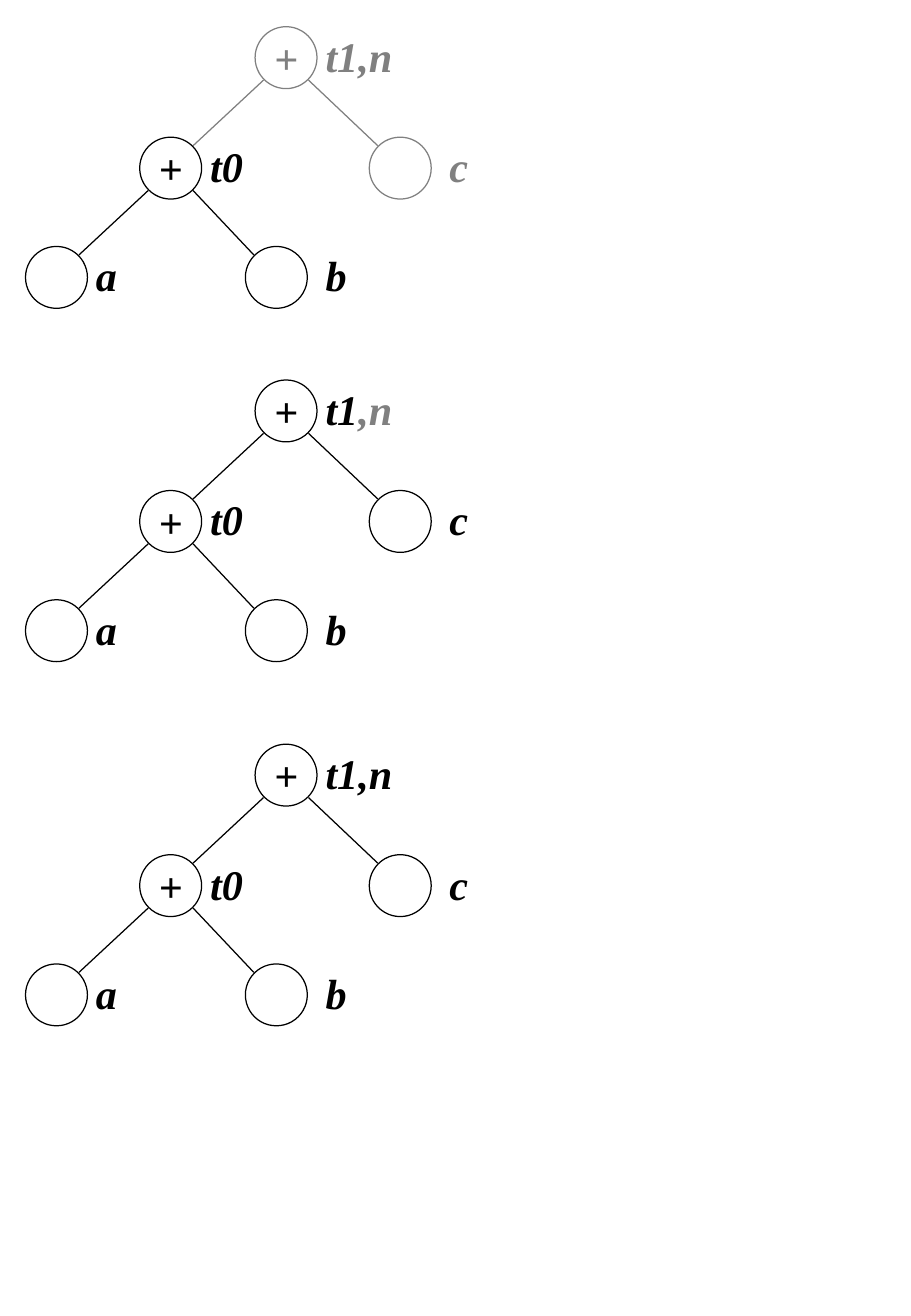
from dataclasses import dataclass

from lxml import etree
from pptx import Presentation
from pptx.dml.color import RGBColor
from pptx.enum.shapes import MSO_CONNECTOR, MSO_SHAPE
from pptx.enum.text import MSO_ANCHOR, PP_ALIGN
from pptx.oxml.ns import qn
from pptx.shapes.connector import Connector
from pptx.shapes.autoshape import Shape
from pptx.slide import Slide
from pptx.text.text import TextFrame, _Paragraph
from pptx.util import Emu, Pt

ELLIPSE = MSO_SHAPE.OVAL
STRAIGHT = MSO_CONNECTOR.STRAIGHT
MIDDLE = MSO_ANCHOR.MIDDLE
CENTER = PP_ALIGN.CENTER
LEFT = PP_ALIGN.LEFT

EMU_PER_PX = 9144
SLIDE_WIDTH, SLIDE_HEIGHT = 750, 1084
DIAMETER = 51
RIM_INSET = 7
LABEL_HEIGHT = 47
COLORS = {"done": "000000", "pending": "808080"}
FONT = "Times New Roman"
FONT_SIZE = Pt(25)
LINE_WIDTH = Pt(0.75)


@dataclass(frozen=True)
class Node:
    left: int
    top: int
    symbol: str
    label_offset: int
    label_width: int


@dataclass(frozen=True)
class Tree:
    top: int
    root_label: tuple[tuple[str, str], ...]
    upper_state: str


NODES = {
    "root": Node(210, 0, "+", 47, 98),
    "t0": Node(115, 91, "+", 47, 98),
    "c": Node(304, 91, "", 55, 55),
    "a": Node(21, 181, "", 47, 55),
    "b": Node(202, 181, "", 55, 55),
}
EDGES = [("root", "t0"), ("root", "c"), ("t0", "a"), ("t0", "b")]
UPPER_NODES = {"root", "c"}
TREES = [
    Tree(22, (("t1,n", "pending"),), "pending"),
    Tree(313, (("t1", "done"), (",n", "pending")), "done"),
    Tree(613, (("t1,n", "done"),), "done"),
]


def px(length: int) -> Emu:
    return Emu(length * EMU_PER_PX)


def color(state: str) -> RGBColor:
    return RGBColor.from_string(COLORS[state])


def style_line(shape: Shape | Connector, state: str) -> None:
    shape.line.color.rgb = color(state)
    shape.line.width = LINE_WIDTH


def format_text(frame: TextFrame, alignment: PP_ALIGN, side_inset: int) -> _Paragraph:
    frame.vertical_anchor = MIDDLE
    frame.margin_left = frame.margin_right = px(side_inset)
    frame.margin_top = frame.margin_bottom = px(5)
    paragraph = frame.paragraphs[0]
    paragraph.alignment = alignment
    paragraph.font.name = FONT
    paragraph.font.size = FONT_SIZE
    paragraph.font.bold = True
    paragraph.font.italic = True
    return paragraph


def add_runs(paragraph: _Paragraph, runs: tuple[tuple[str, str], ...]) -> None:
    for text, state in runs:
        run = paragraph.add_run()
        run.text = text
        run.font.color.rgb = color(state)


def add_edge(slide: Slide, tree_top: int, parent: Node, child: Node, state: str) -> None:
    goes_left = child.left < parent.left
    near, far = RIM_INSET, DIAMETER - RIM_INSET
    start_x, end_x = (near, far) if goes_left else (far, near)
    edge = slide.shapes.add_connector(
        STRAIGHT,
        px(parent.left + start_x),
        px(tree_top + parent.top + far),
        px(child.left + end_x),
        px(tree_top + child.top + near),
    )
    style_line(edge, state)
    etree.SubElement(edge.element.spPr, qn("a:effectLst"))


def add_node(
    slide: Slide, tree_top: int, node: Node, label: tuple[tuple[str, str], ...], state: str
) -> None:
    top = tree_top + node.top
    circle = slide.shapes.add_shape(
        ELLIPSE, px(node.left), px(top), px(DIAMETER), px(DIAMETER)
    )
    circle.shadow.inherit = False
    circle.fill.background()
    style_line(circle, state)
    if node.symbol:
        circle.text_frame.word_wrap = False
        add_runs(format_text(circle.text_frame, CENTER, 10), ((node.symbol, state),))

    label_box = slide.shapes.add_textbox(
        px(node.left + node.label_offset), px(top), px(node.label_width), px(LABEL_HEIGHT)
    )
    label_box.text_frame.word_wrap = True
    add_runs(format_text(label_box.text_frame, LEFT, 11), label)


def add_tree(slide: Slide, tree: Tree) -> None:
    states = {
        name: tree.upper_state if name in UPPER_NODES else "done" for name in NODES
    }
    for parent, child in EDGES:
        add_edge(slide, tree.top, NODES[parent], NODES[child], states[parent])
    for name, node in NODES.items():
        label = tree.root_label if name == "root" else ((name, states[name]),)
        add_node(slide, tree.top, node, label, states[name])


def main() -> None:
    presentation = Presentation()
    presentation.slide_width = px(SLIDE_WIDTH)
    presentation.slide_height = px(SLIDE_HEIGHT)
    slide = presentation.slides.add_slide(presentation.slide_layouts[6])
    for tree in TREES:
        add_tree(slide, tree)
    presentation.save("out.pptx")


if __name__ == "__main__":
    main()
